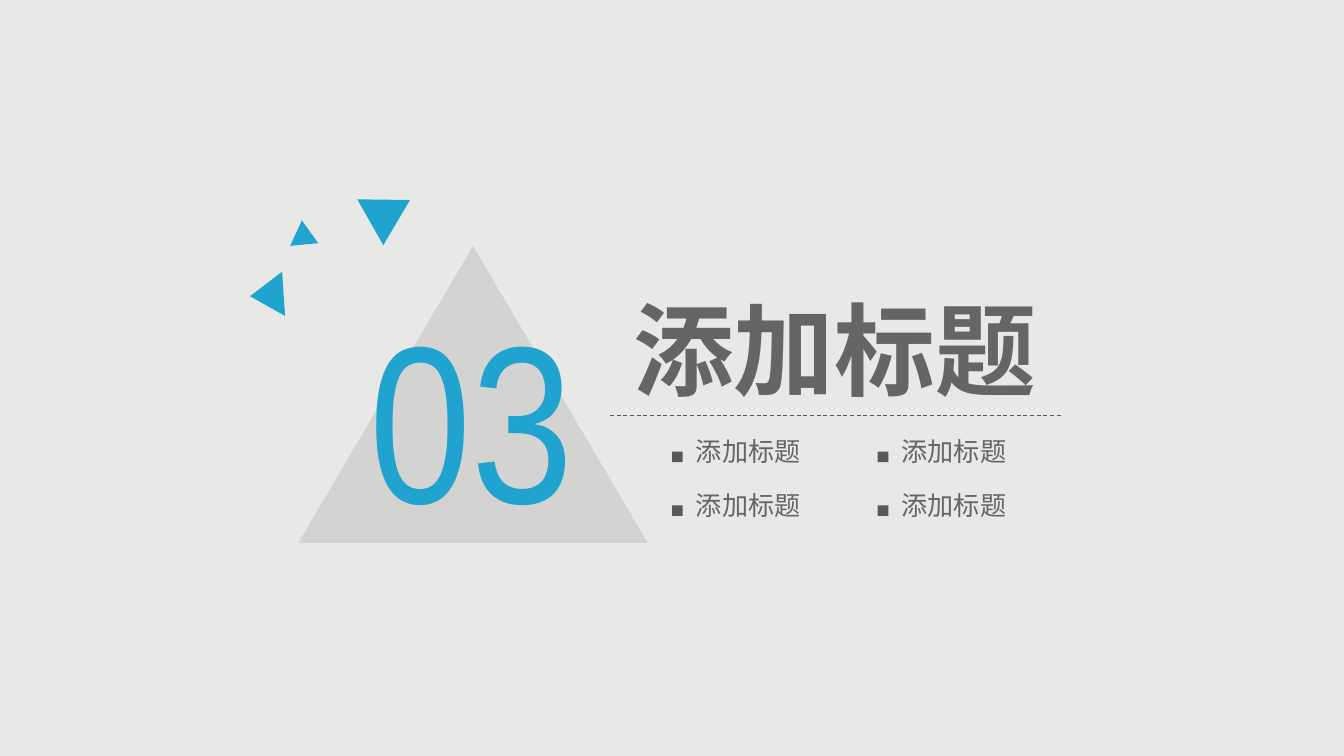
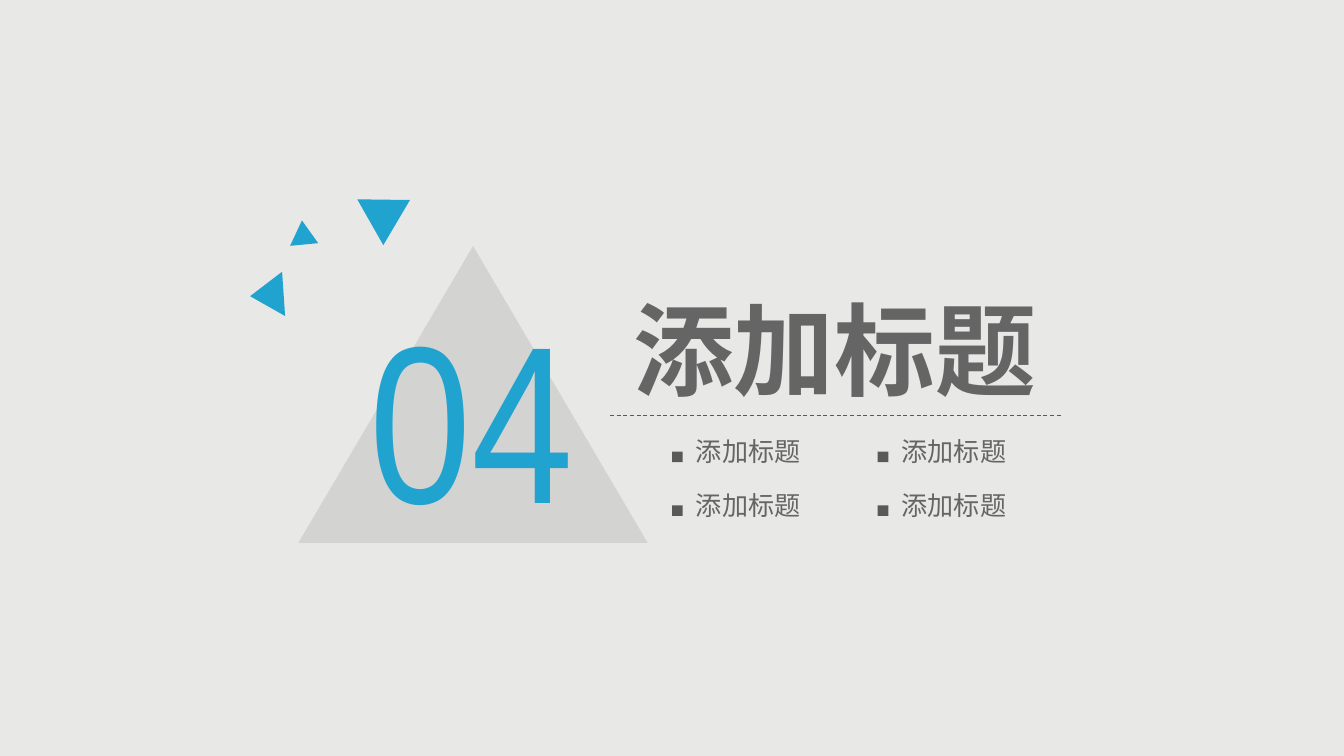
"""Build two section divider slides with a numbered triangle and four topics."""
from itertools import product

from lxml import etree
from pptx import Presentation
from pptx.dml.color import RGBColor
from pptx.enum.dml import MSO_LINE
from pptx.enum.shapes import MSO_CONNECTOR, MSO_SHAPE
from pptx.enum.text import MSO_ANCHOR, MSO_AUTO_SIZE, PP_ALIGN
from pptx.oxml.ns import qn
from pptx.util import Pt

TRIANGLE, SQUARE = MSO_SHAPE.ISOSCELES_TRIANGLE, MSO_SHAPE.RECTANGLE
STRAIGHT, DASH = MSO_CONNECTOR.STRAIGHT, MSO_LINE.DASH
TOP, LEFT, GROW = MSO_ANCHOR.TOP, PP_ALIGN.LEFT, MSO_AUTO_SIZE.SHAPE_TO_FIT_TEXT
COLORS = {"background": "E8E8E6", "gray": "595959", "blue": "21A3D0"}
LATIN_FONT, CHINESE_FONT = "Arial Narrow", "Noto Sans CJK SC"
TITLE = "添加标题"
TOPICS = ["添加标题", "添加标题", "添加标题", "添加标题"]
SECTIONS = [("03", 144), ("04", 140.4)]
ACCENTS = [
    (187.92, 100.8, 28.08, 24.48, 300.6),
    (154.8, 118.08, 15.12, 12.96, 354.7),
    (131.04, 149.04, 23.76, 18, 266.1),
]


def add_solid(shapes, kind, left, top, width, height, color, opacity=100):
    solid = shapes.add_shape(kind, Pt(left), Pt(top), Pt(width), Pt(height))
    solid.shadow.inherit = False
    solid.fill.solid()
    solid.fill.fore_color.rgb = RGBColor.from_string(COLORS[color])
    solid.line.fill.background()
    if opacity < 100:
        tint = solid._element.spPr.find(f".//{qn('a:srgbClr')}")
        etree.SubElement(tint, qn("a:alpha"), val=str(opacity * 1000))
    return solid


def write(box, text, size, font_name, color, opacity=100, bold=False):
    frame = box.text_frame
    frame.text = text
    frame.word_wrap = False
    frame.auto_size = GROW
    frame.vertical_anchor = TOP
    paragraph = frame.paragraphs[0]
    paragraph.alignment = LEFT
    font = paragraph.font
    font.size, font.name, font.bold = Pt(size), font_name, bold
    font.color.rgb = RGBColor.from_string(COLORS[color])
    latin = paragraph._p.find(f".//{qn('a:latin')}")
    east_asian = etree.Element(qn("a:ea"), typeface=font_name)
    latin.addnext(east_asian)
    if opacity < 100:
        tint = paragraph._p.find(f".//{qn('a:srgbClr')}")
        etree.SubElement(tint, qn("a:alpha"), val=str(opacity * 1000))


deck = Presentation()
deck.slide_width, deck.slide_height = Pt(720), Pt(405)
backdrop = deck.slide_master.background.fill
backdrop.solid()
backdrop.fore_color.rgb = RGBColor.from_string(COLORS["background"])

for number, number_width in SECTIONS:
    slide = deck.slides.add_slide(deck.slide_layouts[5])
    shapes = slide.shapes

    title = shapes.title
    title.left, title.top, title.width, title.height = Pt(331.92), Pt(150.48), Pt(232.56), Pt(72.72)
    write(title, TITLE, 54, CHINESE_FONT, "gray", 91, bold=True)

    add_solid(shapes, TRIANGLE, 159.84, 131.76, 187.2, 159.12, "gray", 14)
    section_number = shapes.add_textbox(Pt(190.8), Pt(146.16), Pt(number_width), Pt(152.64))
    write(section_number, number, 120, LATIN_FONT, "blue")

    divider = shapes.add_connector(STRAIGHT, Pt(326.88), Pt(222.48), Pt(569.52), Pt(222.48))
    divider.line.color.rgb = RGBColor.from_string(COLORS["gray"])
    divider.line.width = Pt(0.5)
    divider.line.dash_style = DASH
    etree.SubElement(divider._element.spPr, qn("a:effectLst"))

    for topic, (row, column) in zip(TOPICS, product(range(2), repeat=2)):
        left, top = 360 + 110.16 * column, 229.68 + 28.8 * row
        entry = shapes.add_group_shape().shapes
        add_solid(entry, SQUARE, left, top + 12.24, 5.76, 5.76, "gray")
        label = entry.add_textbox(Pt(left + 5.76), Pt(top), Pt(71.28), Pt(24.48))
        write(label, topic, 14, CHINESE_FONT, "gray", 91)

    for left, top, width, height, angle in ACCENTS:
        accent = add_solid(shapes, TRIANGLE, left, top, width, height, "blue")
        accent.rotation = angle

deck.save("out.pptx")
